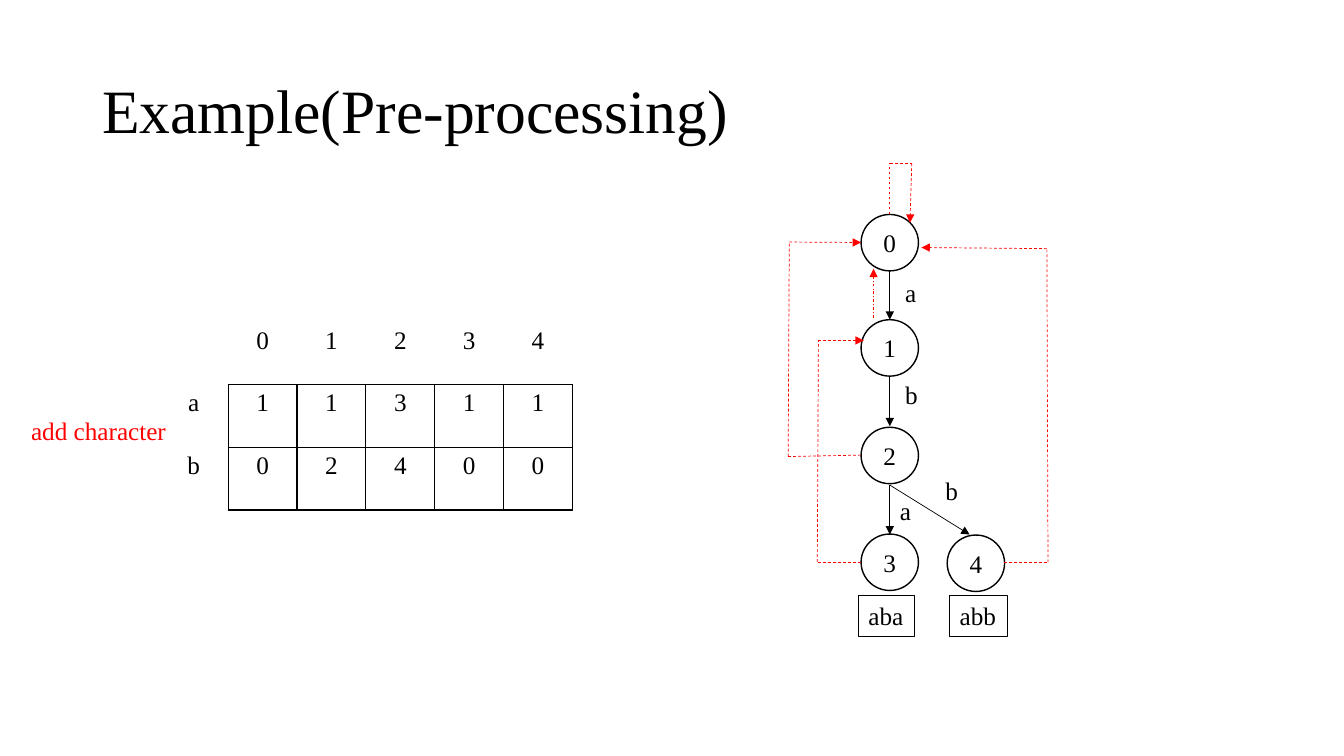
"""Draw the pre-processing example: a goto table beside its keyword automaton."""
import pptx
import pptx.dml.color
import pptx.enum.dml
import pptx.enum.shapes
import pptx.enum.text
import pptx.oxml
import pptx.oxml.ns
import pptx.util

Pt = pptx.util.Pt
ALIGN = pptx.enum.text.PP_ALIGN
ANCHOR = pptx.enum.text.MSO_ANCHOR
AUTO_SIZE = pptx.enum.text.MSO_AUTO_SIZE
DASH = pptx.enum.dml.MSO_LINE
SHAPE = pptx.enum.shapes.MSO_SHAPE
BLACK, RED = "000000", "FF0000"


def color(value):
    return pptx.dml.color.RGBColor.from_string(value)


def assign(target, values):
    for name, value in values.items():
        setattr(target, name, value)


def element(tag, attributes="", inner=""):
    namespace = pptx.oxml.ns.nsdecls("a")
    return pptx.oxml.parse_xml(f"<a:{tag} {namespace} {attributes}>{inner}</a:{tag}>")


class Diagram:
    """Holds the text style and the slide being drawn."""

    font = {"name": "Times New Roman", "size": Pt(18), "bold": False}

    def __init__(self, slide):
        self.slide = slide

    def fill_text(self, frame, text, ink=BLACK, size=18, paragraph_format=None, **frame_format):
        assign(frame, frame_format)
        paragraph = frame.paragraphs[0]
        assign(paragraph, {"alignment": ALIGN.LEFT, **(paragraph_format or {})})
        run = paragraph.add_run()
        run.text = text
        assign(run.font, {**self.font, "size": Pt(size)})
        run.font.color.rgb = color(ink)

    def text(self, text, left, top, width, height, **style):
        shape = self.slide.shapes.add_textbox(Pt(left), Pt(top), Pt(width), Pt(height))
        self.fill_text(shape.text_frame, text, **style)

    def outline(self, kind, text, left, top, width, height, weight, **style):
        shape = self.slide.shapes.add_shape(kind, Pt(left), Pt(top), Pt(width), Pt(height))
        shape.shadow.inherit = False
        shape.fill.background()
        shape.line.color.rgb = color(BLACK)
        shape.line.width = Pt(weight)
        self.fill_text(shape.text_frame, text, **style)

    def state(self, text, left, top):
        margins = {f"margin_{side}": 0 for side in ("left", "top", "right", "bottom")}
        self.outline(SHAPE.OVAL, text, left, top, 41, 40.3, 1, word_wrap=False,
                     vertical_anchor=ANCHOR.MIDDLE,
                     paragraph_format={"alignment": ALIGN.CENTER}, **margins)

    def route(self, points, ink=BLACK, dash=None):
        legs = list(zip(points, points[1:]))
        for number, (start, end) in enumerate(legs, 1):
            connector = self.slide.shapes.add_connector(
                pptx.enum.shapes.MSO_CONNECTOR.STRAIGHT, *map(Pt, start + end))
            connector.line.color.rgb = color(ink)
            assign(connector.line, {"width": Pt(0.5), "dash_style": dash})
            properties = connector._element.spPr
            if number == len(legs):
                properties.find(pptx.oxml.ns.qn("a:ln")).append(element("tailEnd", 'type="triangle"'))
            properties.append(element("effectLst"))

    def table(self, rows, left, top, column_width, row_height):
        count = len(rows[0])
        table = self.slide.shapes.add_table(
            len(rows), count, Pt(left), Pt(top),
            Pt(column_width * count), Pt(row_height * len(rows))).table
        assign(table, {"first_row": False, "horz_banding": False})
        for column in table.columns:
            column.width = Pt(column_width)
        for row_index, row in enumerate(rows):
            table.rows[row_index].height = Pt(row_height)
            for column_index, value in enumerate(row):
                cell = table.cell(row_index, column_index)
                self.fill_text(cell.text_frame, value, paragraph_format={"alignment": ALIGN.CENTER})
                self.border(cell, row_index, column_index)
                cell.fill.background()

    def border(self, cell, row, column):
        inside = row > 0 and column > 0
        drawn = {"L": inside, "R": row > 0, "T": inside, "B": column > 0}
        ink = f'<a:solidFill><a:srgbClr val="{BLACK}"/></a:solidFill>'
        for side, visible in drawn.items():
            cell._tc.get_or_add_tcPr().append(
                element(f"ln{side}", f'w="{Pt(1)}"', ink if visible else "<a:noFill/>"))


def main():
    presentation = pptx.Presentation()
    assign(presentation, {"slide_width": Pt(960), "slide_height": Pt(540)})
    diagram = Diagram(presentation.slides.add_slide(presentation.slide_layouts[6]))

    diagram.text("Example(Pre-processing)", 66, 28.8, 828, 104.4, size=44, word_wrap=True,
                 vertical_anchor=ANCHOR.MIDDLE, paragraph_format={"line_spacing": 0.9})
    diagram.table([["", *"01234"], ["a", *"11311"], ["b", *"02400"]], 113.8, 229.7, 49.2, 44.9)
    diagram.text("add character", 15.1, 293, 246.2, 29.1, ink=RED, word_wrap=True,
                 auto_size=AUTO_SIZE.SHAPE_TO_FIT_TEXT)

    spine = 635.6
    state_left = spine - 20.5
    for name, left, top in [("0", state_left, 153.2), ("1", state_left, 228.4),
                            ("2", state_left, 305.2), ("3", state_left, 381.5),
                            ("4", 676.6, 382.2)]:
        diagram.state(name, left, top)

    for start, end in [((spine, 193.2), (spine, 228.4)), ((spine, 269), (spine, 304.5)),
                       ((spine, 346.5), (spine, 381.8)), ((spine, 346.5), (692.6, 381.8))]:
        diagram.route([start, end])

    fitted = {"word_wrap": False, "auto_size": AUTO_SIZE.SHAPE_TO_FIT_TEXT}
    for letter, left, top in [("a", 639.4, 194.6), ("b", 639.4, 267.1),
                              ("b", 668.2, 335.7), ("a", 635.6, 350.2)]:
        diagram.text(letter, left, top, 23, 29.1, **fitted)
    for word, left, width in [("aba", 613.2, 39.9), ("abb", 678.4, 41)]:
        diagram.outline(SHAPE.RECTANGLE, word, left, 425.5, width, 29.1, 0.75,
                        vertical_anchor=ANCHOR.TOP, **fitted)

    for points in [
        [(615, 401.4), (583.8, 401.4), (584.6, 243.2), (617, 243.2)],
        [(spine, 153.2), (spine, 116.6), (651.3, 116.6), (650, 159.1)],
        [(615, 325.1), (563, 326.1), (563.8, 172.9), (615, 173.2)],
        [(717, 401.6), (748.6, 401.6), (747.8, 177.6), (658.2, 176.8)],
    ]:
        diagram.route(points, RED, DASH.DASH)
    diagram.route([(624, 227), (624, 192)], RED, DASH.DASH_DOT)

    presentation.save("out.pptx")


if __name__ == "__main__":
    main()
